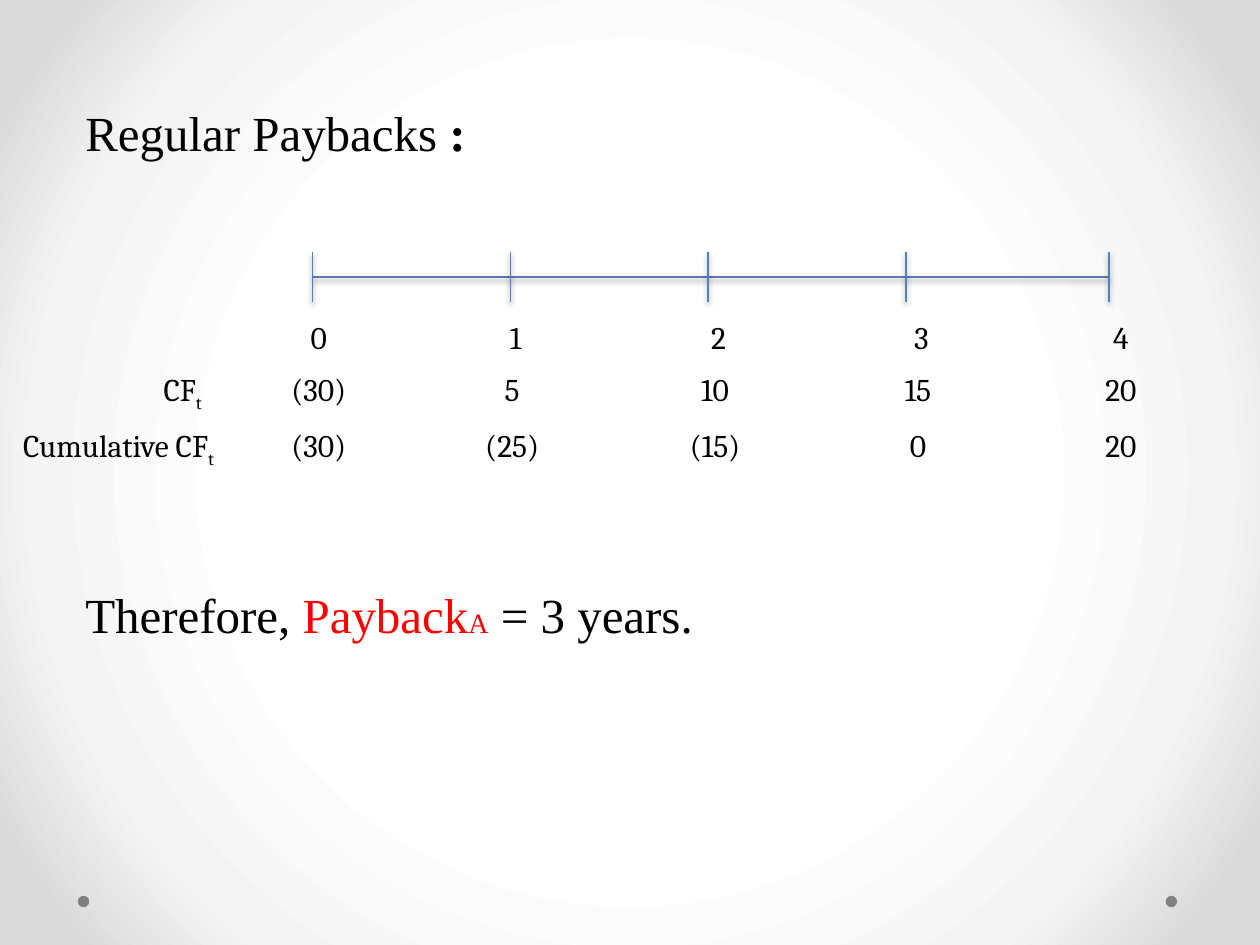
from pptx import Presentation
from pptx.dml.color import RGBColor
from pptx.enum.shapes import MSO_CONNECTOR as Connector, MSO_SHAPE as Shape
from pptx.enum.text import PP_ALIGN as Align
from pptx.oxml import parse_xml
from pptx.oxml.ns import nsdecls, qn
from pptx.util import Cm, Pt

COLORS = {
    "text": "000000", "accent": "FF0000", "dot": "808080",
    "axis": "6076B4", "tick": "4F81BD",
    "center": "FFFFFF", "ring": "F4F4F4", "edge": "DADADA",
}
BODY_FONT, TABLE_FONT = "Times New Roman", "Cambria"
NO_STYLE = "{2D5ABB26-0587-4C30-8999-92F81FD0307C}"

AXIS_Y, TICK_HALF = 5.59, 0.5
TICKS = (6.3, 10.29, 14.27, 18.26, 22.35)
COLUMNS = (4.47, 3.71, 4.09, 4.09, 4.09, 4.09)
ROW_HEIGHT = 1.05
CASH_FLOWS = (
    ("", ("0", " 1", " 2", " 3", "4")),
    ("CF", ("(30)", "5", "10", "15", "20")),
    ("Cumulative CF", ("(30)", "(25)", "(15)", "0", "20")),
)


def color(name):
    """Return the palette colour with this name."""
    return RGBColor.from_string(COLORS[name])


def set_background(slide):
    """Give the slide a circular gradient that darkens towards its corners."""
    stops = "".join(
        f'<a:gs pos="{percent * 1000}"><a:srgbClr val="{COLORS[name]}"/></a:gs>'
        for percent, name in ((50, "center"), (76, "ring"), (92, "edge")))
    slide.element.cSld.insert(0, parse_xml(
        f'<p:bg {nsdecls("p", "a")}><p:bgPr><a:gradFill rotWithShape="1">'
        f'<a:gsLst>{stops}</a:gsLst><a:path path="circle">'
        '<a:fillToRect l="50000" t="50000" r="50000" b="50000"/></a:path>'
        '</a:gradFill><a:effectLst/></p:bgPr></p:bg>'))


def add_dot(slide, left):
    """Draw one of the small grey dots at the foot of the slide."""
    dot = slide.shapes.add_shape(Shape.OVAL, Cm(left), Cm(18.06), Cm(0.23), Cm(0.23))
    dot.shadow.inherit = False
    dot.fill.solid()
    dot.fill.fore_color.rgb = color("dot")
    dot.line.fill.background()


def add_run(paragraph, text, size, font, color_name="text", bold=False, baseline=0):
    """Append one formatted run to a paragraph."""
    run = paragraph.add_run()
    run.text = text
    run.font.size = Pt(size)
    run.font.name = font
    run.font.bold = bold
    run.font.color.rgb = color(color_name)
    if baseline:
        run.font._element.set("baseline", str(baseline * 1000))


def add_statement(slide):
    """Write the heading and the conclusion in one text box."""
    box = slide.shapes.add_textbox(Cm(1.47), Cm(0.3), Cm(22.86), Cm(18.75))
    frame = box.text_frame
    frame.word_wrap = True
    frame.margin_top = Cm(1.77)
    heading = frame.paragraphs[0]
    add_run(heading, "Regular Paybacks ", 28, BODY_FONT)
    add_run(heading, ":", 28, BODY_FONT, bold=True)
    conclusion = frame.add_paragraph()
    conclusion.space_before = Pt(242)
    add_run(conclusion, "Therefore, ", 28, BODY_FONT)
    add_run(conclusion, "Payback", 28, BODY_FONT, "accent")
    add_run(conclusion, "A", 16, BODY_FONT, "accent")
    add_run(conclusion, " = 3 years.", 28, BODY_FONT)


def add_cash_flow_table(slide):
    """Build the table of yearly and cumulative cash flows."""
    frame = slide.shapes.add_table(
        len(CASH_FLOWS), len(COLUMNS), Cm(0.1), Cm(6.35),
        Cm(sum(COLUMNS)), Cm(ROW_HEIGHT * len(CASH_FLOWS)))
    table = frame.table
    table.first_row = table.horz_banding = False
    table._tbl.tblPr.find(qn("a:tableStyleId")).text = NO_STYLE
    for column, width in zip(table.columns, COLUMNS):
        column.width = Cm(width)
    for row, (label, values) in zip(table.rows, CASH_FLOWS):
        row.height = Cm(ROW_HEIGHT)
        for cell in row.cells:
            cell.fill.background()
        label_cell, *value_cells = row.cells
        if label:
            paragraph = label_cell.text_frame.paragraphs[0]
            paragraph.alignment = Align.RIGHT
            add_run(paragraph, label, 18, TABLE_FONT)
            add_run(paragraph, "t", 18, TABLE_FONT, baseline=-25)
        for cell, value in zip(value_cells, values):
            paragraph = cell.text_frame.paragraphs[0]
            paragraph.alignment = Align.CENTER
            add_run(paragraph, value, 18, TABLE_FONT)
    table.cell(1, 0).margin_right = Cm(0.5)


def add_line(slide, start, end, color_name):
    """Draw a thin straight line with a soft shadow below it."""
    line = slide.shapes.add_connector(
        Connector.STRAIGHT, *(Cm(value) for value in start + end))
    line.line.width = Pt(1)
    line.line.color.rgb = color(color_name)
    line._element.spPr.append(parse_xml(
        f'<a:effectLst {nsdecls("a")}><a:outerShdw blurRad="40000" dist="20000" '
        'dir="5400000" rotWithShape="0"><a:srgbClr val="000000">'
        '<a:alpha val="38000"/></a:srgbClr></a:outerShdw></a:effectLst>'))


def add_timeline(slide):
    """Draw the time axis with one tick for each year."""
    add_line(slide, (TICKS[0], AXIS_Y), (TICKS[-1], AXIS_Y), "axis")
    for x in TICKS:
        add_line(slide, (x, AXIS_Y - TICK_HALF), (x, AXIS_Y + TICK_HALF), "tick")


def main():
    """Build the payback slide and save it."""
    presentation = Presentation()
    presentation.slide_width, presentation.slide_height = Cm(25.4), Cm(19.05)
    slide = presentation.slides.add_slide(presentation.slide_layouts[6])
    set_background(slide)
    for left in (23.5, 1.57):
        add_dot(slide, left)
    add_statement(slide)
    add_cash_flow_table(slide)
    add_timeline(slide)
    presentation.save("out.pptx")


if __name__ == "__main__":
    main()
